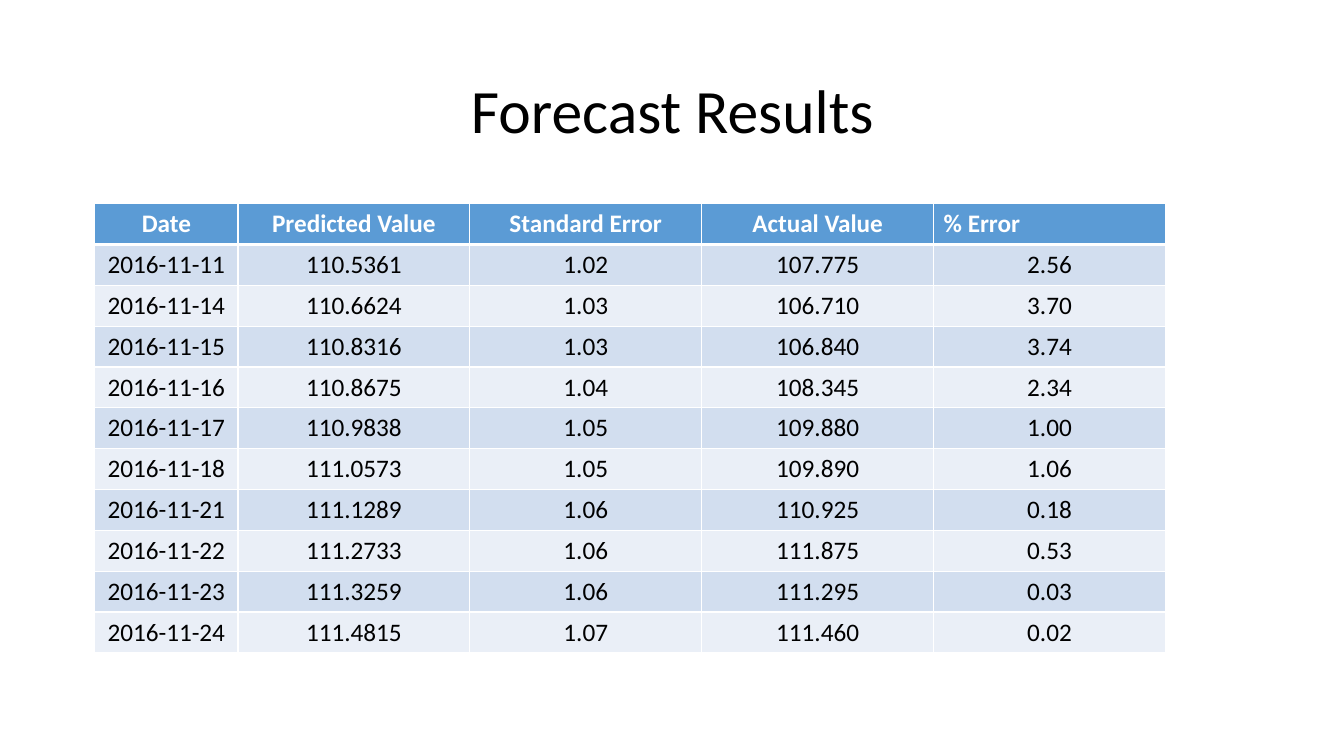
import lxml.etree
import pptx
import pptx.dml.color
import pptx.enum.text
import pptx.oxml.ns
import pptx.util

Inches = pptx.util.Inches
RGBColor = pptx.dml.color.RGBColor
ALIGN = pptx.enum.text.PP_ALIGN
ANCHOR = pptx.enum.text.MSO_ANCHOR

BLACK = RGBColor(0x00, 0x00, 0x00)
WHITE = RGBColor(0xFF, 0xFF, 0xFF)
HEADER_BLUE = RGBColor(0x5B, 0x9B, 0xD5)
BAND_DARK = RGBColor(0xD2, 0xDE, 0xEF)
BAND_LIGHT = RGBColor(0xEA, 0xEF, 0xF7)

HEADERS = ["Date", "Predicted Value", "Standard Error", "Actual Value", "% Error"]
FORECASTS = [
    ["2016-11-11", "110.5361", "1.02", "107.775", "2.56"],
    ["2016-11-14", "110.6624", "1.03", "106.710", "3.70"],
    ["2016-11-15", "110.8316", "1.03", "106.840", "3.74"],
    ["2016-11-16", "110.8675", "1.04", "108.345", "2.34"],
    ["2016-11-17", "110.9838", "1.05", "109.880", "1.00"],
    ["2016-11-18", "111.0573", "1.05", "109.890", "1.06"],
    ["2016-11-21", "111.1289", "1.06", "110.925", "0.18"],
    ["2016-11-22", "111.2733", "1.06", "111.875", "0.53"],
    ["2016-11-23", "111.3259", "1.06", "111.295", "0.03"],
    ["2016-11-24", "111.4815", "1.07", "111.460", "0.02"],
]
COLUMN_WIDTHS = [1.42, 2.3, 2.3, 2.3, 2.3]
ROW_HEIGHT = 4.46 / 11


def write_text(tf, text, *, font, size, color=BLACK, bold=False,
               align=ALIGN.CENTER, line_spacing=None):
    p = tf.paragraphs[0]
    p.alignment = align
    p.line_spacing = line_spacing
    r = p.add_run()
    r.text = text
    r.font.name = font
    r.font.size = pptx.util.Pt(size)
    r.font.bold = bold
    r.font.color.rgb = color


class SlideBuilder:
    font = "Calibri"
    title_size = 44
    table_size = 18

    def __init__(self, slide):
        self.s = slide

    def title(self, text, left, top, width, height):
        sp = self.s.shapes.add_textbox(
            Inches(left), Inches(top), Inches(width), Inches(height))
        tf = sp.text_frame
        tf.word_wrap = True
        tf.vertical_anchor = ANCHOR.MIDDLE
        write_text(tf, text, font=self.font, size=self.title_size, line_spacing=0.9)

    def borders(self, cell, top=1, bottom=1):
        tc_pr = cell._tc.get_or_add_tcPr()
        for side, width in (("L", 1), ("R", 1), ("T", top), ("B", bottom)):
            ln = lxml.etree.SubElement(
                tc_pr, pptx.oxml.ns.qn("a:ln" + side), w=str(pptx.util.Pt(width)))
            fill = lxml.etree.SubElement(ln, pptx.oxml.ns.qn("a:solidFill"))
            lxml.etree.SubElement(fill, pptx.oxml.ns.qn("a:srgbClr"), val=str(WHITE))

    def table(self, headers, rows, left, top, widths, row_height):
        lines = [headers] + rows
        table = self.s.shapes.add_table(
            len(lines), len(headers), Inches(left), Inches(top),
            Inches(sum(widths)), Inches(row_height * len(lines))).table
        for column, width in zip(table.columns, widths):
            column.width = Inches(width)
        for i, values in enumerate(lines):
            table.rows[i].height = Inches(row_height)
            is_header = i == 0
            band = HEADER_BLUE if is_header else BAND_DARK if i % 2 else BAND_LIGHT
            for j, text in enumerate(values):
                cell = table.cell(i, j)
                # Thick rule between the header and the first row
                self.borders(cell, top=3 if i == 1 else 1, bottom=3 if is_header else 1)
                cell.fill.solid()
                cell.fill.fore_color.rgb = band
                left_aligned = is_header and j == len(headers) - 1
                write_text(cell.text_frame, text, font=self.font, size=self.table_size,
                           color=WHITE if is_header else BLACK, bold=is_header,
                           align=ALIGN.LEFT if left_aligned else ALIGN.CENTER)


def main():
    prs = pptx.Presentation()
    prs.slide_width = Inches(13.33)
    prs.slide_height = Inches(7.5)
    builder = SlideBuilder(prs.slides.add_slide(prs.slide_layouts[6]))

    # Title
    builder.title("Forecast Results", 0.92, 0.4, 11.5, 1.45)

    # Forecast table
    builder.table(HEADERS, FORECASTS, 0.94, 2.02, COLUMN_WIDTHS, ROW_HEIGHT)

    prs.save("out.pptx")


if __name__ == "__main__":
    main()
